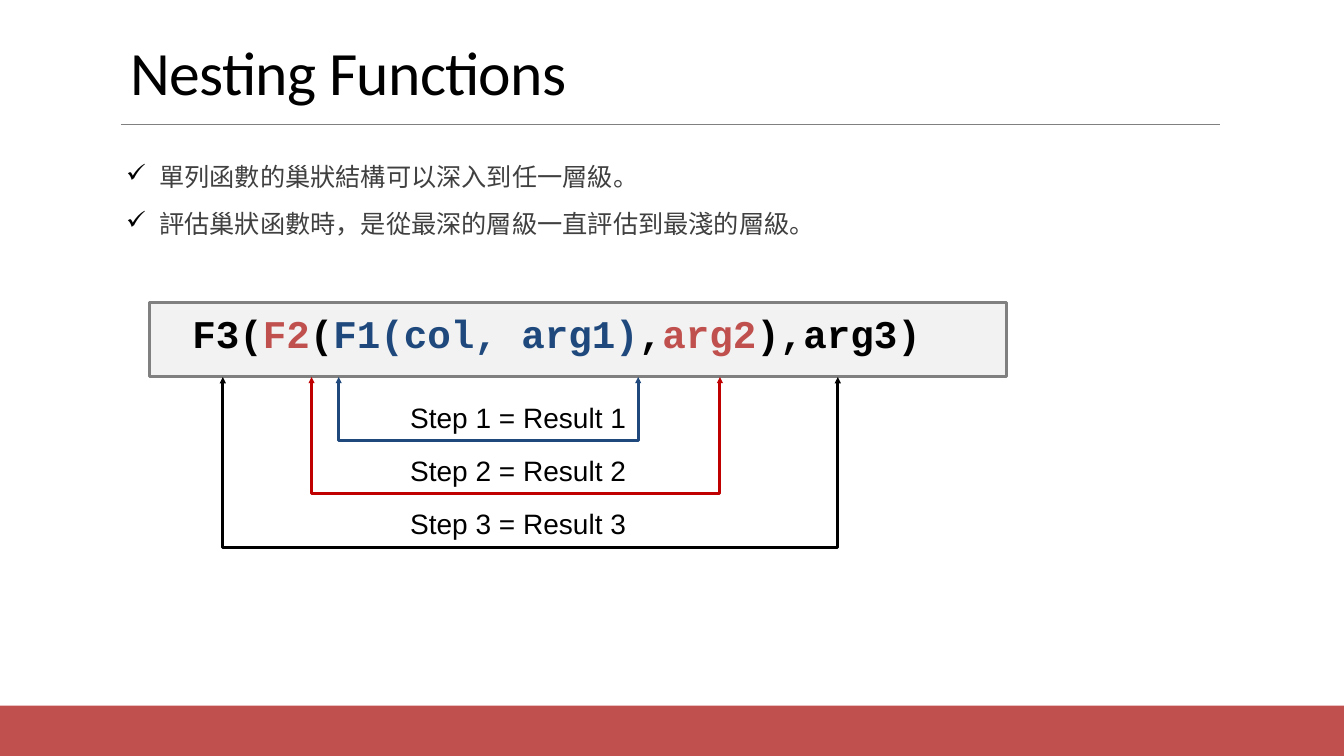
from lxml import etree
from pptx import Presentation
from pptx.dml.color import RGBColor
from pptx.enum.shapes import MSO_CONNECTOR, MSO_SHAPE
from pptx.enum.text import MSO_ANCHOR, MSO_AUTO_SIZE
from pptx.oxml.ns import qn
from pptx.util import Inches, Pt

RECT = MSO_SHAPE.RECTANGLE
LINE = MSO_CONNECTOR.STRAIGHT
BOTTOM = MSO_ANCHOR.BOTTOM
GROW = MSO_AUTO_SIZE.SHAPE_TO_FIT_TEXT

# Content
BLACK, RED, BLUE, GRAY = "000000", "C0504D", "1F497D", "808080"
TITLE = "Nesting Functions"
CJK = "Noto Sans CJK SC"
POINTS = ["單列函數的巢狀結構可以深入到任一層級。",
          "評估巢狀函數時，是從最深的層級一直評估到最淺的層級。"]
CODE = [("F3(", BLACK), ("F2", RED), ("(", BLACK), ("F1(col, arg1)", BLUE),
        (",", BLACK), ("arg2", RED), ("),arg3)", BLACK)]
# Label, left, right and colour of each bracket, innermost first
STEPS = [("Step 1 = Result 1", 3.36, 6.33, BLUE),
         ("Step 2 = Result 2", 3.09, 7.14, "C00000"),
         ("Step 3 = Result 3", 2.21, 8.31, BLACK)]
TOP, FIRST, GAP = 3.74, 4.37, 0.53

prs = Presentation()
prs.slide_width, prs.slide_height = Inches(13.33), Inches(7.5)
slide = prs.slides.add_slide(prs.slide_layouts[6])
shapes = slide.shapes


def color(text):
    return RGBColor.from_string(text)


def child(node, tag, **attrs):
    return etree.SubElement(node, qn(tag), attrs)


def stroke(line, tone, width):
    line.color.rgb = color(tone)
    line.width = Pt(width)


def box(x, y, w, h, tone):
    rect = shapes.add_shape(RECT, Inches(x), Inches(y), Inches(w), Inches(h))
    rect.shadow.inherit = False
    rect.fill.solid()
    rect.fill.fore_color.rgb = color(tone)
    rect.line.fill.background()
    return rect


def frame(x, y, w, h, wrap=True):
    area = shapes.add_textbox(Inches(x), Inches(y), Inches(w), Inches(h))
    tf = area.text_frame
    tf.word_wrap = wrap
    if not wrap:
        tf.auto_size = GROW
    return tf


def style(par, face, size, tone=None, bold=False):
    font = par.font
    font.name, font.size, font.bold = face, Pt(size), bold
    if tone:
        font.color.rgb = color(tone)


# Footer band and title rule
box(0, 7, 13.33, 0.5, RED)
rule = shapes.add_connector(LINE, Inches(1.2), Inches(1.23),
                            Inches(12.1), Inches(1.23))
stroke(rule.line, GRAY, 0.5)
child(rule._element.spPr, "a:effectLst")

# Title
tf = frame(1.2, 0, 11, 1.12)
tf.vertical_anchor = BOTTOM
par = tf.paragraphs[0]
par.text = TITLE
par.line_spacing = 0.85
style(par, "Calibri", 44, BLACK)
par.runs[0]._r.get_or_add_rPr().set("spc", "-50")

# Checked points
tf = frame(1.25, 1.59, 11.19, 1.2)
tf.margin_left = tf.margin_right = 0
for i, text in enumerate(POINTS):
    par = tf.add_paragraph() if i else tf.paragraphs[0]
    par.text = text
    par.line_spacing = 0.9
    par.space_before, par.space_after = Pt(12), Pt(2)
    style(par, CJK, 18, "404040")
    child(par.runs[0]._r.get_or_add_rPr(), "a:ea", typeface=CJK)
    props = par._p.get_or_add_pPr()
    props.set("marL", str(Inches(0.33)))
    props.set("indent", str(-Inches(0.33)))
    tint = etree.Element(qn("a:buClr"))
    child(tint, "a:srgbClr", val=BLACK)
    mark = etree.Element(qn("a:buChar"), char="✓")
    for node in (tint, mark):
        props.find(qn("a:defRPr")).addprevious(node)

# Nested call
panel = box(1.48, 3, 8.5, 0.74, "F2F2F2")
stroke(panel.line, GRAY, 2.25)
par = frame(1.81, 3.18, 7.49, 0.41, wrap=False).paragraphs[0]
par.line_spacing = Pt(22)
style(par, "Courier New", 28, bold=True)
before = etree.Element(qn("a:spcBef"))
child(before, "a:spcPct", val="50000")
par._p.pPr.find(qn("a:lnSpc")).addnext(before)
for text, tone in CODE:
    run = par.add_run()
    run.text = text
    run.font.color.rgb = color(tone)

# Brackets with their steps, outermost at the back
for i, (text, left, right, tone) in reversed(list(enumerate(STEPS))):
    base = FIRST + i * GAP
    path = [(Inches(x), Inches(y)) for x, y in
            [(left, TOP), (left, base), (right, base), (right, TOP)]]
    build = shapes.build_freeform(*path[0], scale=1.0)
    build.add_line_segments(path[1:], close=False)
    hook = build.convert_to_shape()
    hook.shadow.inherit = False
    hook.fill.background()
    stroke(hook.line, tone, 2.25)
    for tag in ("a:headEnd", "a:tailEnd"):
        child(hook.line._ln, tag, type="triangle", w="sm", len="sm")
    par = frame(3.97, base - 0.45, 2.36, 0.44, wrap=False).paragraphs[0]
    par.text = text
    style(par, "Arial", 20, BLACK)

prs.save("out.pptx")
